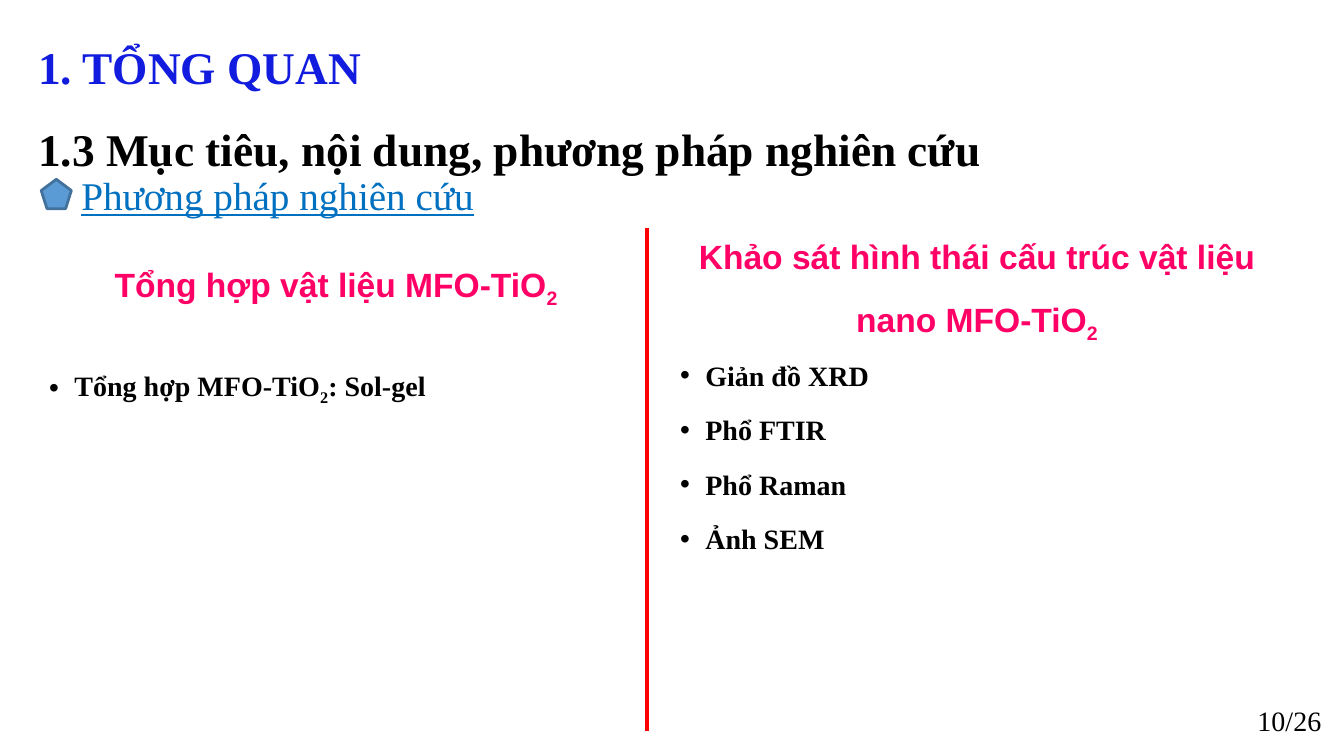
from pptx import Presentation
from pptx.dml.color import RGBColor
from pptx.enum.shapes import MSO_CONNECTOR, MSO_SHAPE
from pptx.enum.text import MSO_ANCHOR, MSO_AUTO_SIZE, PP_ALIGN
from pptx.oxml.ns import qn
from pptx.util import Cm, Pt
from lxml import etree

LEFT, CENTER, RIGHT = PP_ALIGN.LEFT, PP_ALIGN.CENTER, PP_ALIGN.RIGHT
TOP, MIDDLE = MSO_ANCHOR.TOP, MSO_ANCHOR.MIDDLE
FIXED = MSO_AUTO_SIZE.NONE
STRAIGHT = MSO_CONNECTOR.STRAIGHT
PENTAGON = MSO_SHAPE.REGULAR_PENTAGON

BLACK = RGBColor(0, 0, 0)
NAVY = RGBColor(0x12, 0x1C, 0xDE)
PINK = RGBColor(0xFF, 0x00, 0x66)
RED = RGBColor(0xFF, 0x00, 0x00)
BLUE = RGBColor(0x00, 0x70, 0xC0)
SKY = RGBColor(0x5B, 0x9B, 0xD5)
STEEL = RGBColor(0x42, 0x71, 0x9B)
SERIF, SANS = "Times New Roman", "Arial"


def add_text(par, text, size=20, face=SERIF, color=BLACK, bold=False, under=False):
    for i, part in enumerate(text.split("|")):
        run = par.add_run()
        run.text = part
        font = run.font
        font.size, font.name = Pt(size), face
        font.bold, font.underline = bold, under
        font.color.rgb = color
        if i % 2:
            run._r.get_or_add_rPr().set("baseline", "-25000")


class Deck:
    def __init__(self):
        self.prs = Presentation()
        self.prs.slide_width, self.prs.slide_height = Cm(33.87), Cm(19.05)
        self.slide = self.prs.slides.add_slide(self.prs.slide_layouts[3])
        self.shapes = self.slide.shapes

    def frame(self, box, anchor, pad):
        frame = box.text_frame
        frame.word_wrap = True
        frame.auto_size = FIXED
        frame.vertical_anchor = anchor
        frame.margin_left, frame.margin_top, frame.margin_right, frame.margin_bottom = map(Cm, pad)
        return frame

    def place(self, box, area):
        box.left, box.top, box.width, box.height = map(Cm, area)

    def title(self, head, sub, area):
        box = self.shapes.title
        self.place(box, area)
        par = self.frame(box, MIDDLE, (0.25, 0.13, 0.25, 1.75)).paragraphs[0]
        par.alignment, par.line_spacing = LEFT, 1.5
        add_text(par, head, size=32.4, color=NAVY, bold=True)
        par.add_line_break()
        add_text(par, sub, size=32.4, bold=True)

    def list(self, index, items, area):
        box = self.slide.placeholders[index]
        self.place(box, area)
        frame = self.frame(box, MIDDLE, (0.2,) * 4)
        for i, item in enumerate(items):
            par = frame.paragraphs[0] if i == 0 else frame.add_paragraph()
            par.level, par.alignment, par.line_spacing = 1, LEFT, 1.5
            par.space_before = Pt(3 if i else 0)
            props = par._p.get_or_add_pPr()
            props.set("marL", str(Cm(0.635)))
            props.set("indent", str(Cm(-0.635)))
            etree.SubElement(props, qn("a:buFont")).set("typeface", SANS)
            etree.SubElement(props, qn("a:buChar")).set("char", "•")
            add_text(par, item, bold=True)

    def text(self, text, area, anchor=TOP, align=LEFT, space=1.0, pad=(0.25, 0.13, 0.25, 0.13), **style):
        box = self.shapes.add_textbox(*map(Cm, area))
        par = self.frame(box, anchor, pad).paragraphs[0]
        par.alignment, par.line_spacing = align, space
        add_text(par, text, **style)

    def head(self, text, area, anchor):
        self.text(text, area, anchor, CENTER, 1.5, (0.2,) * 4,
                  size=24, face=SANS, color=PINK, bold=True)

    def rule(self, x, top, end):
        line = self.shapes.add_connector(STRAIGHT, Cm(x), Cm(top), Cm(x), Cm(end))
        line.line.color.rgb, line.line.width = RED, Pt(3)
        etree.SubElement(line._element.spPr, qn("a:effectLst"))

    def mark(self, area):
        mark = self.shapes.add_shape(PENTAGON, *map(Cm, area))
        mark.shadow.inherit = False
        mark.fill.solid()
        mark.fill.fore_color.rgb = SKY
        mark.line.color.rgb, mark.line.width = STEEL, Pt(2)


def main():
    deck = Deck()
    deck.title("1. TỔNG QUAN", "1.3 Mục tiêu, nội dung, phương pháp nghiên cứu",
               (0.71, 1.17, 31.39, 4.01))
    deck.list(1, ["Tổng hợp MFO-TiO|2|: Sol-gel"], (1.04, 8.33, 15.14, 2.41))
    deck.head("Tổng hợp vật liệu MFO-TiO|2", (1.93, 5.56, 13.08, 2.74), MIDDLE)
    deck.head("Khảo sát hình thái cấu trúc vật liệu nano MFO-TiO|2",
              (16.43, 5.23, 16.38, 3.48), TOP)
    deck.list(2, ["Giản đồ XRD", "Phổ FTIR", "Phổ Raman", "Ảnh SEM"],
              (16.94, 8.71, 13.97, 5.18))
    deck.rule(16.31, 5.74, 18.42)
    deck.text("Phương pháp nghiên cứu", (1.8, 4.19, 29.67, 2.64),
              size=28, color=BLUE, under=True)
    deck.mark((1.04, 4.52, 0.76, 0.74))
    deck.text("10/26", (25.65, 17.65, 7.9, 1.02), MIDDLE, RIGHT)
    deck.prs.save("out.pptx")


if __name__ == "__main__":
    main()
